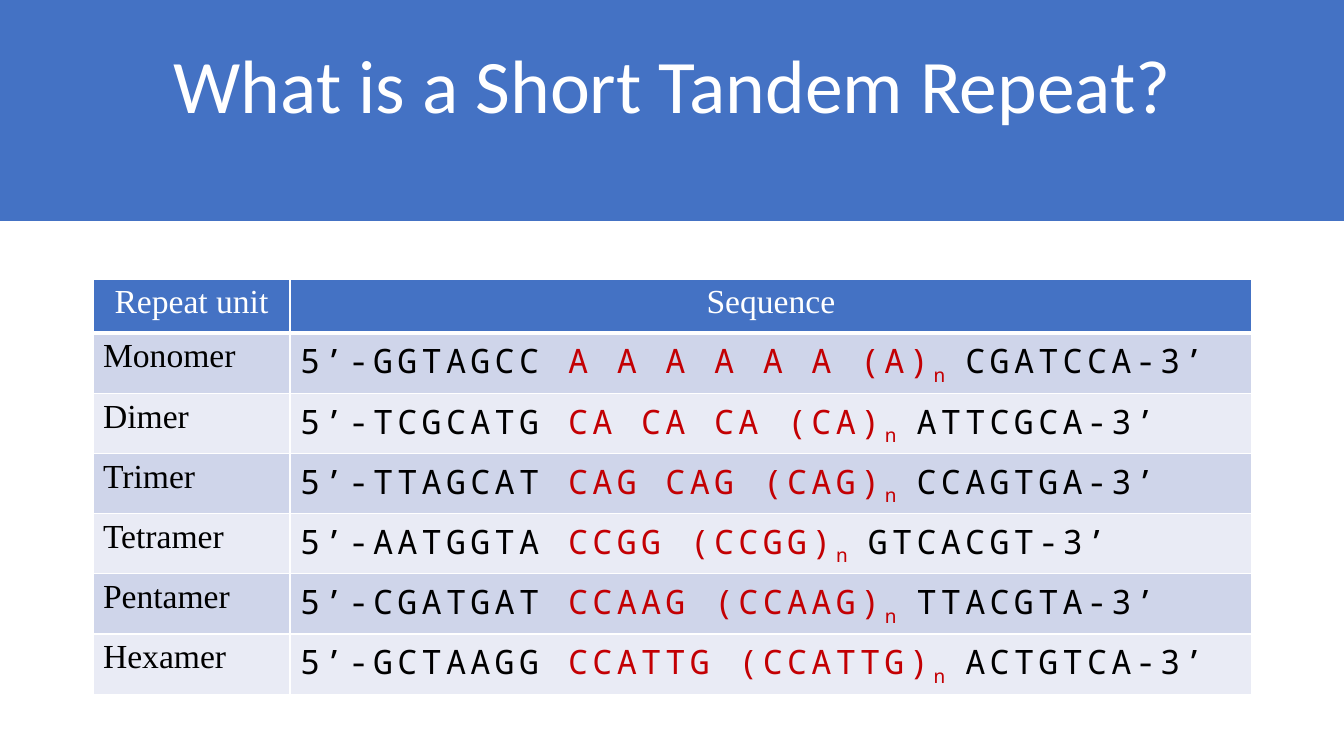
"""Build a slide that explains short tandem repeats with a table of examples."""
from dataclasses import dataclass

import pptx
import pptx.dml.color
import pptx.enum.shapes
import pptx.enum.text
import pptx.oxml
import pptx.oxml.ns
import pptx.table
import pptx.text.text
import pptx.util

RGBColor = pptx.dml.color.RGBColor
BLUE = RGBColor(0x44, 0x72, 0xC4)
WHITE = RGBColor(0xFF, 0xFF, 0xFF)
BLACK = RGBColor(0x00, 0x00, 0x00)
RED = RGBColor(0xC3, 0x00, 0x03)
DARK_BAND = RGBColor(0xCF, 0xD5, 0xEA)
LIGHT_BAND = RGBColor(0xE9, 0xEB, 0xF5)
TITLE_FONT = "Calibri"
LABEL_FONT = "Times New Roman"
SEQUENCE_FONT = "Noto Sans Mono"
PIXELS_PER_INCH = 100.8
HEADINGS = ("Repeat unit", "Sequence")
COLUMN_WIDTHS = (197, 962)
ROW_HEIGHT = 54


@dataclass(frozen=True)
class Repeat:
    name: str
    start: str
    unit: str
    copies: int
    end: str


REPEATS = (
    Repeat("Monomer", "GGTAGCC", "A", 6, "CGATCCA"),
    Repeat("Dimer", "TCGCATG", "CA", 3, "ATTCGCA"),
    Repeat("Trimer", "TTAGCAT", "CAG", 2, "CCAGTGA"),
    Repeat("Tetramer", "AATGGTA", "CCGG", 1, "GTCACGT"),
    Repeat("Pentamer", "CGATGAT", "CCAAG", 1, "TTACGTA"),
    Repeat("Hexamer", "GCTAAGG", "CCATTG", 1, "ACTGTCA"),
)


def pixels(count: int) -> pptx.util.Emu:
    return pptx.util.Emu(round(count * 914400 / PIXELS_PER_INCH))


def add_run(paragraph: pptx.text.text._Paragraph, text: str, font: str, color: RGBColor,
            size: int = 24, spacing: int = 0, baseline: int = 0) -> None:
    run = paragraph.add_run()
    run.text = text
    run.font.name = font
    run.font.size = pptx.util.Pt(size)
    run.font.bold = False
    run.font.color.rgb = color
    properties = run.font._element
    if spacing:
        properties.set("spc", str(spacing * 100))
    if baseline:
        properties.set("baseline", str(baseline * 1000))


def format_cell(cell: pptx.table._Cell, fill: RGBColor, bottom: int = 1) -> None:
    cell.fill.solid()
    cell.fill.fore_color.rgb = fill
    properties = cell._tc.get_or_add_tcPr()
    widths = {"lnL": 1, "lnR": 1, "lnT": 1, "lnB": bottom}
    for index, (side, width) in enumerate(widths.items()):
        properties.insert(index, pptx.oxml.parse_xml(
            f'<a:{side} {pptx.oxml.ns.nsdecls("a")} w="{pptx.util.Pt(width)}">'
            f'<a:solidFill><a:srgbClr val="{WHITE}"/></a:solidFill></a:{side}>'))


def add_sequence(paragraph: pptx.text.text._Paragraph, repeat: Repeat) -> None:
    copies = f"{repeat.unit} " * repeat.copies
    for text, color, baseline in (
        (f"5’-{repeat.start} ", BLACK, 0),
        (f"{copies}({repeat.unit})", RED, 0),
        ("n ", RED, -25),
        (f"{repeat.end}-3’", BLACK, 0),
    ):
        add_run(paragraph, text, SEQUENCE_FONT, color, spacing=3, baseline=baseline)


def add_title(slide: pptx.slide.Slide) -> None:
    banner = slide.shapes.add_shape(pptx.enum.shapes.MSO_SHAPE.RECTANGLE,
                                    0, 0, pixels(1344), pixels(221))
    banner.shadow.inherit = False
    banner.fill.solid()
    banner.fill.fore_color.rgb = BLUE
    banner.line.fill.background()
    title = slide.shapes.title
    banner._element.addnext(title._element)
    title.left, title.top = pixels(93), pixels(32)
    title.width, title.height = pixels(1159), pixels(103)
    frame = title.text_frame
    frame.word_wrap = True
    frame.auto_size = pptx.enum.text.MSO_AUTO_SIZE.NONE
    frame.vertical_anchor = pptx.enum.text.MSO_ANCHOR.BOTTOM
    paragraph = frame.paragraphs[0]
    paragraph.alignment = pptx.enum.text.PP_ALIGN.CENTER
    paragraph.line_spacing = 0.9
    add_run(paragraph, "What is a Short Tandem Repeat?", TITLE_FONT, WHITE, size=54)


def add_repeat_table(slide: pptx.slide.Slide) -> None:
    row_count = len(REPEATS) + 1
    table = slide.shapes.add_table(row_count, len(HEADINGS), pixels(93), pixels(279),
                                   pixels(sum(COLUMN_WIDTHS)),
                                   pixels(ROW_HEIGHT * row_count)).table
    for column, width in zip(table.columns, COLUMN_WIDTHS):
        column.width = pixels(width)
    for row in table.rows:
        row.height = pixels(ROW_HEIGHT)
    for index, heading in enumerate(HEADINGS):
        cell = table.cell(0, index)
        format_cell(cell, BLUE, bottom=3)
        paragraph = cell.text_frame.paragraphs[0]
        paragraph.alignment = pptx.enum.text.PP_ALIGN.CENTER
        add_run(paragraph, heading, LABEL_FONT, WHITE)
    for index, repeat in enumerate(REPEATS, start=1):
        name_cell, sequence_cell = table.rows[index].cells
        for cell in (name_cell, sequence_cell):
            format_cell(cell, DARK_BAND if index % 2 else LIGHT_BAND)
        add_run(name_cell.text_frame.paragraphs[0], repeat.name, LABEL_FONT, BLACK)
        add_sequence(sequence_cell.text_frame.paragraphs[0], repeat)


def main() -> None:
    presentation = pptx.Presentation()
    presentation.slide_width = pixels(1344)
    presentation.slide_height = pixels(756)
    slide = presentation.slides.add_slide(presentation.slide_layouts.get_by_name("Title Only"))
    add_title(slide)
    add_repeat_table(slide)
    presentation.save("out.pptx")


main()
